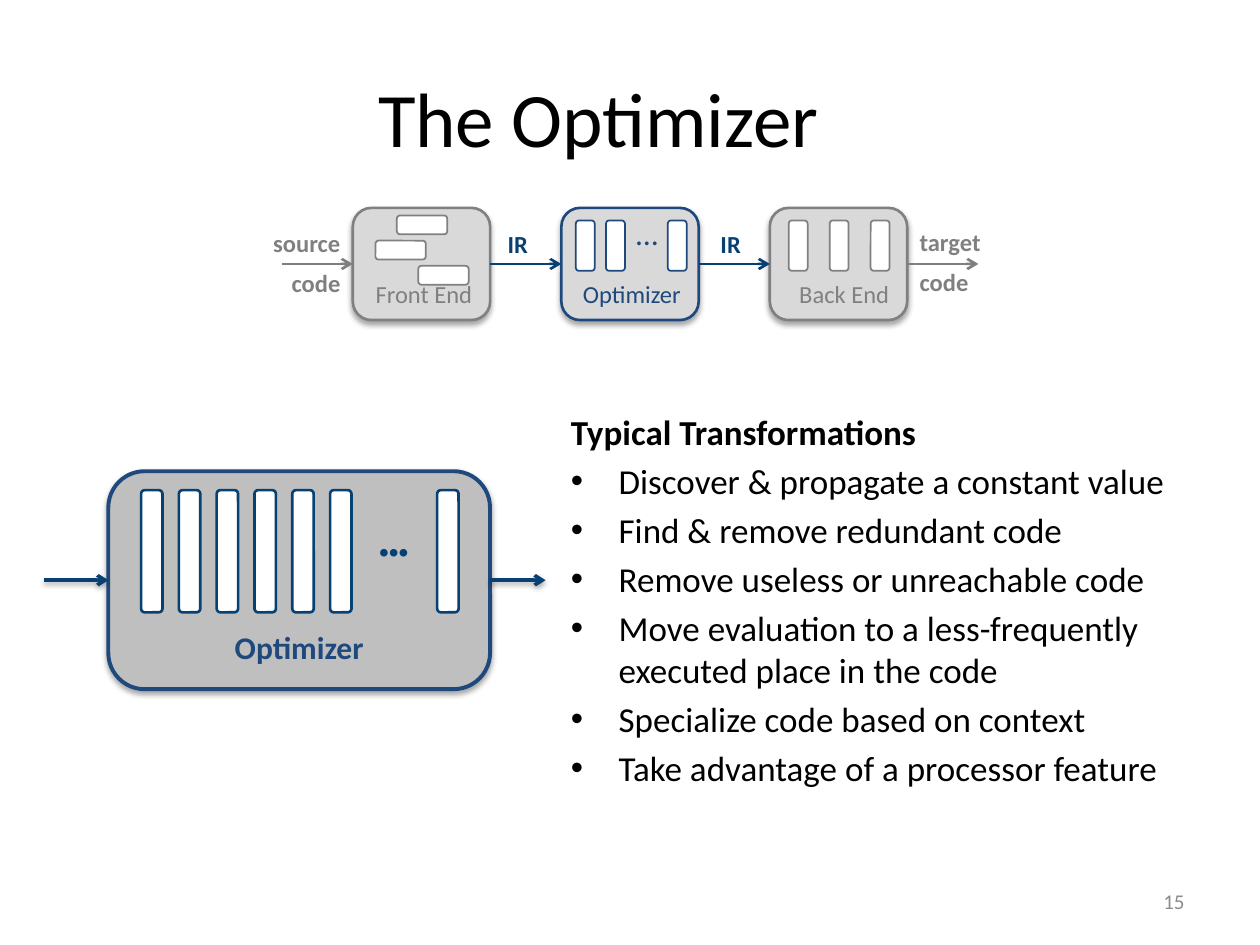
from lxml import etree
from pptx import Presentation
from pptx.dml.color import RGBColor
from pptx.enum.shapes import MSO_CONNECTOR, MSO_SHAPE
from pptx.enum.text import MSO_ANCHOR, MSO_AUTO_SIZE, PP_ALIGN
from pptx.oxml.ns import qn
from pptx.util import Inches, Pt

ROUNDED = MSO_SHAPE.ROUNDED_RECTANGLE
STRAIGHT = MSO_CONNECTOR.STRAIGHT
LEFT, CENTER, RIGHT = PP_ALIGN.LEFT, PP_ALIGN.CENTER, PP_ALIGN.RIGHT
TOP, MIDDLE, BOTTOM = MSO_ANCHOR.TOP, MSO_ANCHOR.MIDDLE, MSO_ANCHOR.BOTTOM
LEFT_SIDE, RIGHT_SIDE = 1, 3

THEME = {
    "colors": {
        "black": "000000", "white": "FFFFFF", "number": "8C8C8C",
        "gray": "808080", "arrow_gray": "7F7F7F", "navy": "1F497D",
        "blue": "074073", "stage": "D9D9D9", "panel": "BFBFBF",
    },
    "fonts": {
        "title": {"name": "Calibri", "size": Pt(44), "bold": False},
        "heading": {"name": "Calibri", "size": Pt(20), "bold": True},
        "body": {"name": "Calibri", "size": Pt(20), "bold": False},
        "stage": {"name": "Calibri", "size": Pt(14), "bold": False},
        "label": {"name": "Calibri", "size": Pt(14), "bold": True},
        "panel": {"name": "Calibri", "size": Pt(18), "bold": True},
        "ellipsis": {"name": "Calibri", "size": Pt(18), "bold": False},
        "dots": {"name": "Arial", "size": Pt(16), "bold": False},
        "number": {"name": "Calibri", "size": Pt(12), "bold": False},
    },
    "shadow": {"blurRad": "40000", "dist": "23000", "dir": "5400000", "rotWithShape": "0"},
    "shadow_alpha": "35000",
}

TITLE = "The Optimizer\t"
HEADING = "Typical Transformations"
TRANSFORMATIONS = [
    "Discover & propagate a constant value",
    "Find & remove redundant code",
    "Remove useless or unreachable code",
    "Move evaluation to a less-frequently executed place in the code",
    "Specialize code based on context",
    "Take advantage of a processor feature",
]

STAGES = [("Front End", "gray"), ("Optimizer", "navy"), ("Back End", "gray")]
STAGE_LEFT, STAGE_TOP, STAGE_PITCH = 2.8, 1.65, 1.655
STAGE_WIDTH, STAGE_HEIGHT = 1.09, 0.89
FLOW_Y, FLOW_LENGTH = STAGE_TOP + STAGE_HEIGHT / 2, 0.56
STAGE_PASSES = [
    [(2.98 + 0.17 * step, 1.71 + 0.2 * row, 0.4, 0.15) for row, step in enumerate((1, 0, 2))],
    [(left, 1.75, 0.15, 0.4) for left in (4.57, 4.81, 5.3)],
    [(6.26 + 0.325 * index, 1.75, 0.15, 0.4) for index in range(3)],
]

PANEL = (0.86, 3.74, 3.03, 1.73)
PANEL_Y = PANEL[1] + PANEL[3] / 2
PANEL_PASSES = [(left, 3.89, 0.17, 0.97)
                for left in [1.12 + 0.3 * index for index in range(6)] + [3.47]]

LABELS = [
    (["IR"], (3.93, 1.77, 0.4, 0.34), "label", "blue", LEFT, TOP),
    (["IR"], (5.62, 1.77, 0.4, 0.34), "label", "blue", LEFT, TOP),
    (["source", "code"], (1.98, 1.76, 0.82, 0.66), "label", "gray", RIGHT, TOP),
    (["target", "code"], (7.2, 1.75, 0.82, 0.66), "label", "gray", LEFT, TOP),
    (["…"], (4.95, 1.65, 0.37, 0.4), "ellipsis", "navy", LEFT, TOP),
    (["•••"], (2.71, 4.19, 0.83, 0.37), "dots", "blue", CENTER, TOP),
    (["15"], (7.17, 6.95, 2.33, 0.4), "number", "number", RIGHT, MIDDLE),
]


def color(name):
    return RGBColor.from_string(THEME["colors"][name])


def inches(box):
    return [Inches(value) for value in box]


def set_values(target, values):
    for name, value in values.items():
        setattr(target, name, value)


def place(shape, box):
    set_values(shape, dict(zip(("left", "top", "width", "height"), inches(box))))


def write(frame, lines, font, ink, alignment, anchor, gap=0):
    set_values(frame, {"word_wrap": True, "vertical_anchor": anchor})
    for index, line in enumerate(lines):
        paragraph = frame.paragraphs[0] if index == 0 else frame.add_paragraph()
        paragraph.alignment = alignment
        if index and gap:
            paragraph.space_before = Pt(gap)
        run = paragraph.add_run()
        run.text = line
        set_values(run.font, THEME["fonts"][font])
        run.font.color.rgb = color(ink)


def set_line(shape, ink, width):
    shape.line.color.rgb = color(ink)
    shape.line.width = Pt(width)


def set_effects(shape, shadow):
    effects = etree.SubElement(shape.element.spPr, qn("a:effectLst"))
    if shadow:
        outer = etree.SubElement(effects, qn("a:outerShdw"), THEME["shadow"])
        ink = etree.SubElement(outer, qn("a:srgbClr"), val=THEME["colors"]["black"])
        etree.SubElement(ink, qn("a:alpha"), val=THEME["shadow_alpha"])


def add_box(slide, box, fill, ink, width, shadow=False):
    shape = slide.shapes.add_shape(ROUNDED, *inches(box))
    shape.fill.solid()
    shape.fill.fore_color.rgb = color(fill)
    set_line(shape, ink, width)
    set_effects(shape, shadow)
    return shape


def add_arrow(slide, start, end, y, ink, width, source=None, target=None, shadow=False):
    arrow = slide.shapes.add_connector(STRAIGHT, *inches((start, y, end, y)))
    if source is not None:
        arrow.begin_connect(source, RIGHT_SIDE)
    if target is not None:
        arrow.end_connect(target, LEFT_SIDE)
    set_line(arrow, ink, width)
    etree.SubElement(arrow.line._get_or_add_ln(), qn("a:tailEnd"), type="arrow")
    set_effects(arrow, shadow)


def add_title_and_list(slide):
    title, body = slide.placeholders
    place(title, (0.5, 0.3, 9, 1.25))
    write(title.text_frame, [TITLE], "title", "black", CENTER, MIDDLE)
    place(body, (4.43, 3.21, 4.97, 3.54))
    frame = body.text_frame
    frame.auto_size = MSO_AUTO_SIZE.NONE
    write(frame, [HEADING] + TRANSFORMATIONS, "body", "black", LEFT, TOP)
    set_values(frame.paragraphs[0].runs[0].font, THEME["fonts"]["heading"])
    indent = Inches(0.38)
    for index, paragraph in enumerate(frame.paragraphs):
        properties = paragraph._p.get_or_add_pPr()
        properties.set("marL", str(indent))
        properties.set("indent", str(-indent))
        if index == 0:
            etree.SubElement(properties, qn("a:buNone"))
        else:
            etree.SubElement(properties, qn("a:buFont"), typeface="Arial")
            etree.SubElement(properties, qn("a:buChar"), char="•")


def add_pipeline(slide):
    stages = []
    for index, (name, ink) in enumerate(STAGES):
        box = (STAGE_LEFT + index * STAGE_PITCH, STAGE_TOP, STAGE_WIDTH, STAGE_HEIGHT)
        stage = add_box(slide, box, "stage", ink, 1.5, shadow=True)
        write(stage.text_frame, [name], "stage", ink, RIGHT, BOTTOM)
        stage.text_frame.margin_left = Inches(0.05)
        stages.append(stage)
        for item in STAGE_PASSES[index]:
            add_box(slide, item, "white", ink, 1)
    for index, (source, target) in enumerate(zip([None] + stages, stages + [None])):
        end = STAGE_LEFT + index * STAGE_PITCH
        ink = "blue" if source and target else "arrow_gray"
        add_arrow(slide, end - FLOW_LENGTH, end, FLOW_Y, ink, 1.5, source, target)


def add_panel(slide):
    panel = add_box(slide, PANEL, "panel", "navy", 2.25, shadow=True)
    write(panel.text_frame, ["Optimizer"], "panel", "navy", CENTER, BOTTOM)
    panel.text_frame.margin_bottom = Inches(0.1)
    for item in PANEL_PASSES:
        add_box(slide, item, "white", "blue", 1.5)
    add_arrow(slide, 0.35, PANEL[0], PANEL_Y, "blue", 2, target=panel, shadow=True)
    add_arrow(slide, PANEL[0] + PANEL[2], 4.33, PANEL_Y, "blue", 2, source=panel, shadow=True)


def main():
    presentation = Presentation()
    set_values(presentation, {"slide_width": Inches(10), "slide_height": Inches(7.5)})
    slide = presentation.slides.add_slide(presentation.slide_layouts[1])
    add_title_and_list(slide)
    add_pipeline(slide)
    add_panel(slide)
    for lines, box, font, ink, alignment, anchor in LABELS:
        frame = slide.shapes.add_textbox(*inches(box)).text_frame
        write(frame, lines, font, ink, alignment, anchor, gap=6)
    presentation.save("out.pptx")


if __name__ == "__main__":
    main()
